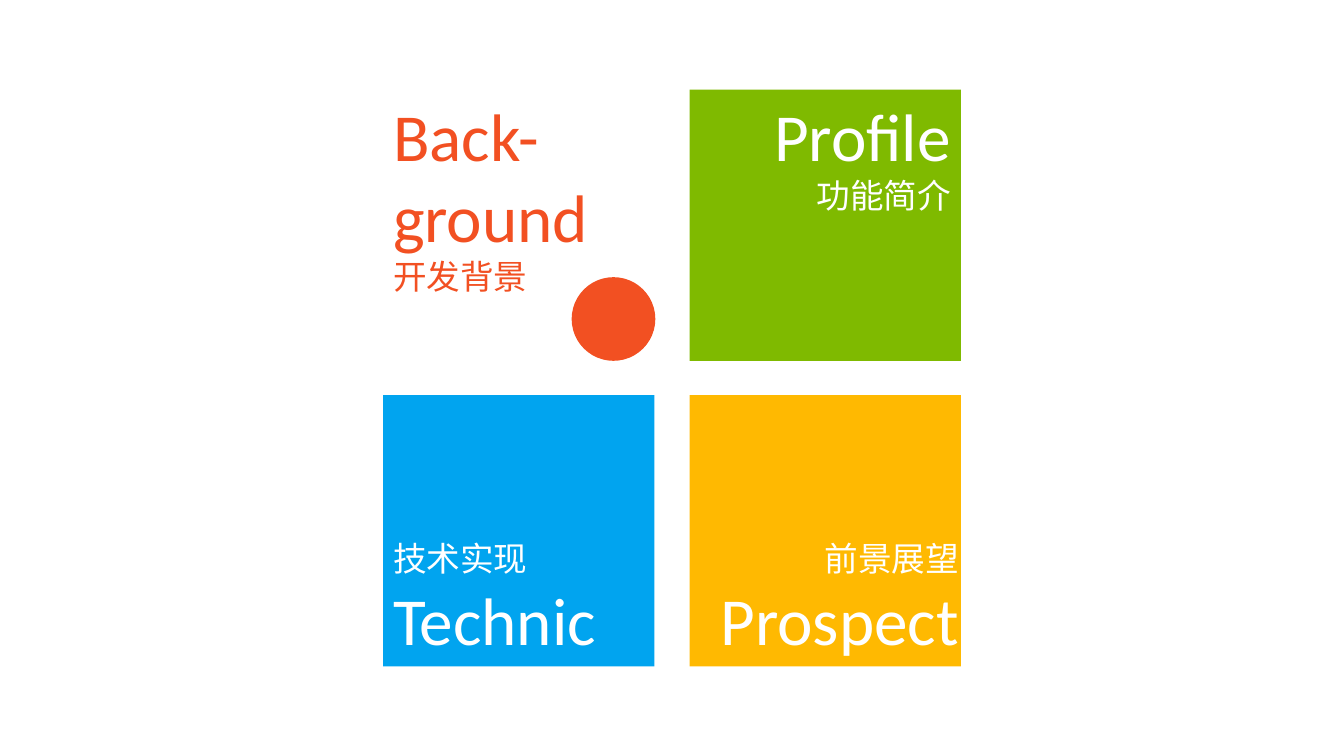
from lxml.etree import SubElement
from pptx import Presentation
from pptx.dml.color import RGBColor
from pptx.enum.shapes import MSO_SHAPE as Preset
from pptx.enum.text import MSO_AUTO_SIZE as AutoSize, PP_ALIGN as Align
from pptx.oxml.ns import qn
from pptx.util import Inches, Pt

ORANGE = RGBColor(0xF2, 0x50, 0x22)
GREEN = RGBColor(0x7F, 0xBA, 0x00)
YELLOW = RGBColor(0xFF, 0xB9, 0x01)
BLUE = RGBColor(0x01, 0xA4, 0xEF)
WHITE = RGBColor(0xFF, 0xFF, 0xFF)

LEFT, RIGHT = 3.8, 6.84
TOP, BOTTOM = 0.89, 3.92
TILE = 2.69
DOT = 0.83
CAPTION_TOP = 5.29
CAPTION_HEIGHT = 1.31

ENGLISH = {"name": "Calibri", "size": Pt(48)}
CHINESE = {"name": "Noto Sans CJK SC", "size": Pt(24)}


def add_tile(slide, left, top, size, color, rounding=0):
    """Add a square tile whose corners are rounded by the given share."""
    tile = slide.shapes.add_shape(
        Preset.ROUNDED_RECTANGLE, *map(Inches, (left, top, size, size)))
    tile.adjustments[0] = rounding
    tile.shadow.inherit = False
    tile.fill.solid()
    tile.fill.fore_color.rgb = color
    tile.line.fill.background()


def add_caption(slide, box, lines, color, align=Align.LEFT):
    """Add a text box with one paragraph for each text and format pair."""
    frame = slide.shapes.add_textbox(*map(Inches, box)).text_frame
    frame.word_wrap = True
    frame.auto_size = AutoSize.SHAPE_TO_FIT_TEXT
    for index, (wording, style) in enumerate(lines):
        paragraph = frame.add_paragraph() if index else frame.paragraphs[0]
        paragraph.alignment = align
        run = paragraph.add_run()
        run.text = wording
        for attribute, value in style.items():
            setattr(run.font, attribute, value)
        run.font.color.rgb = color
        SubElement(run.font._element, qn("a:ea"), typeface=style["name"])


def main():
    """Build the four-part contents slide."""
    deck = Presentation()
    deck.slide_width, deck.slide_height = Inches(13.33), Inches(7.5)
    slide = deck.slides.add_slide(deck.slide_layouts[6])

    add_tile(slide, 5.67, 2.75, DOT, ORANGE, rounding=0.5)
    add_tile(slide, RIGHT, TOP, TILE, GREEN)
    add_tile(slide, RIGHT, BOTTOM, TILE, YELLOW)
    add_tile(slide, LEFT, BOTTOM, TILE, BLUE)

    add_caption(slide, (LEFT, TOP, TILE, 2.12),
                [("Back-ground", ENGLISH), ("开发背景", CHINESE)], ORANGE)
    add_caption(slide, (7.19, TOP, 2.34, CAPTION_HEIGHT),
                [("Profile", ENGLISH), ("功能简介", CHINESE)], WHITE, Align.RIGHT)
    add_caption(slide, (RIGHT, CAPTION_TOP, 2.77, CAPTION_HEIGHT),
                [("前景展望", CHINESE), ("Prospect", ENGLISH)], WHITE, Align.RIGHT)
    add_caption(slide, (LEFT, CAPTION_TOP, 2.5, CAPTION_HEIGHT),
                [("技术实现", CHINESE), ("Technic", ENGLISH)], WHITE)

    deck.save("out.pptx")


if __name__ == "__main__":
    main()
